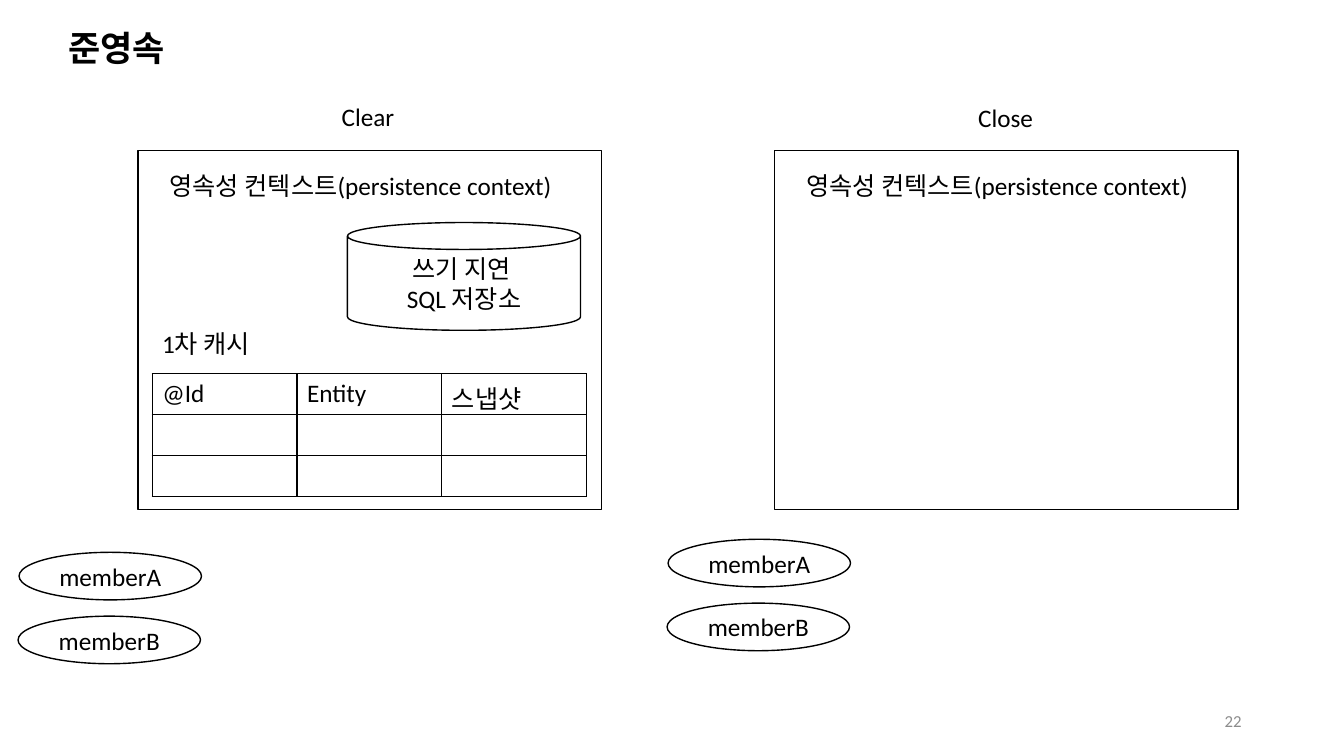
from pptx import Presentation
from pptx.dml.color import RGBColor
from pptx.enum import shapes, text
from pptx.oxml import parse_xml
from pptx.oxml.ns import nsdecls
from pptx.util import Pt

TITLE = "준영속"
PAGE = "22"
CONTEXT = "영속성 컨텍스트(persistence context)"
STORE = ["쓰기 지연 ", "SQL 저장소"]
CACHE = "1차 캐시"
CACHE_HEADER = ["@Id", "Entity", "스냅샷"]
CACHE_ROWS = 3
MEMBERS = ["memberA", "memberB"]
# heading, heading top, panel left, first member's left and top
SIDES = [
    ("Clear", 68.8, 98.6, 13.6, 394.5),
    ("Close", 69.6, 553.2, 477.2, 385.2),
]
PANEL_TOP, PANEL_W, PANEL_H = 107.7, 331.2, 256.4
MEMBER_W, MEMBER_H, MEMBER_STEP, MEMBER_SHIFT = 130.3, 34, 45.6, -0.7

THEME = {
    "font": "Calibri", "title_font": "Arial",
    "ink": RGBColor(0, 0, 0), "paper": RGBColor(255, 255, 255),
    "muted": RGBColor(0x8C, 0x8C, 0x8C),
    "title": 25, "body": 18, "page": 12, "line": 1,
}
ALIGN, ANCHOR, SHAPE = text.PP_ALIGN, text.MSO_ANCHOR, shapes.MSO_SHAPE


def write(tf, lines, size="body", color="ink", font="font", bold=False,
          align=ALIGN.LEFT, anchor=ANCHOR.TOP):
    tf.word_wrap = True
    tf.vertical_anchor = anchor
    for i, line in enumerate(lines):
        p = tf.add_paragraph() if i else tf.paragraphs[0]
        p.alignment = align
        r = p.add_run()
        r.text = line
        r.font.name, r.font.size = THEME[font], Pt(THEME[size])
        r.font.bold, r.font.color.rgb = bold, THEME[color]


def add_text(s, line, x, y, w, h=29, **style):
    tf = s.shapes.add_textbox(Pt(x), Pt(y), Pt(w), Pt(h)).text_frame
    write(tf, [line], **style)
    return tf


def add_outline(s, kind, x, y, w, h, lines=()):
    """Add a white shape with a black outline and centred text."""
    sp = s.shapes.add_shape(kind, Pt(x), Pt(y), Pt(w), Pt(h))
    sp.shadow.inherit = False
    sp.fill.solid()
    sp.fill.fore_color.rgb = THEME["paper"]
    sp.line.color.rgb = THEME["ink"]
    sp.line.width = Pt(THEME["line"])
    write(sp.text_frame, lines, align=ALIGN.CENTER, anchor=ANCHOR.MIDDLE)


def set_borders(cell):
    props = cell._tc.get_or_add_tcPr()
    for i, side in enumerate(("lnL", "lnR", "lnT", "lnB")):
        props.insert(i, parse_xml(
            f'<a:{side} {nsdecls("a")} w="{Pt(THEME["line"])}"><a:solidFill>'
            f'<a:srgbClr val="{THEME["ink"]}"/></a:solidFill></a:{side}>'))


def add_cache_table(s, x, y, col_w, row_h):
    n = len(CACHE_HEADER)
    table = s.shapes.add_table(CACHE_ROWS, n, Pt(x), Pt(y), Pt(n * col_w),
                               Pt(CACHE_ROWS * row_h)).table
    table.first_row = table.horz_banding = False
    for col in table.columns:
        col.width = Pt(col_w)
    for row in table.rows:
        row.height = Pt(row_h)
    for cell in table.iter_cells():
        cell.fill.solid()
        cell.fill.fore_color.rgb = THEME["paper"]
        set_borders(cell)
    for cell, label in zip(table.rows[0].cells, CACHE_HEADER):
        write(cell.text_frame, [label])


def add_side(s, heading, heading_top, left, member_left, member_top):
    add_text(s, heading, left + 138.4, heading_top, 58)
    add_outline(s, SHAPE.RECTANGLE, left, PANEL_TOP, PANEL_W, PANEL_H)
    add_text(s, CONTEXT, left + 15.5, PANEL_TOP + 10.3, 305)
    for i, member in enumerate(MEMBERS):
        add_outline(s, SHAPE.OVAL, member_left + i * MEMBER_SHIFT,
                    member_top + i * MEMBER_STEP, MEMBER_W, MEMBER_H, [member])


def main():
    prs = Presentation()
    prs.slide_width, prs.slide_height = Pt(960), Pt(540)
    s = prs.slides.add_slide(prs.slide_layouts[6])

    title = add_text(s, TITLE, 41.8, 13, 828, 27.4, size="title", bold=True,
                     font="title_font", anchor=ANCHOR.MIDDLE)
    title.paragraphs[0].line_spacing = 1.5
    add_text(s, PAGE, 678, 500.5, 216, size="page", color="muted",
             align=ALIGN.RIGHT, anchor=ANCHOR.MIDDLE)

    for side in SIDES:
        add_side(s, *side)
    add_outline(s, SHAPE.CAN, 248.2, 159, 166.5, 77, STORE)
    add_text(s, CACHE, 108.8, 231, 88)
    add_cache_table(s, 108.8, 267, 103.4, 29.3)
    prs.save("out.pptx")


if __name__ == "__main__":
    main()
